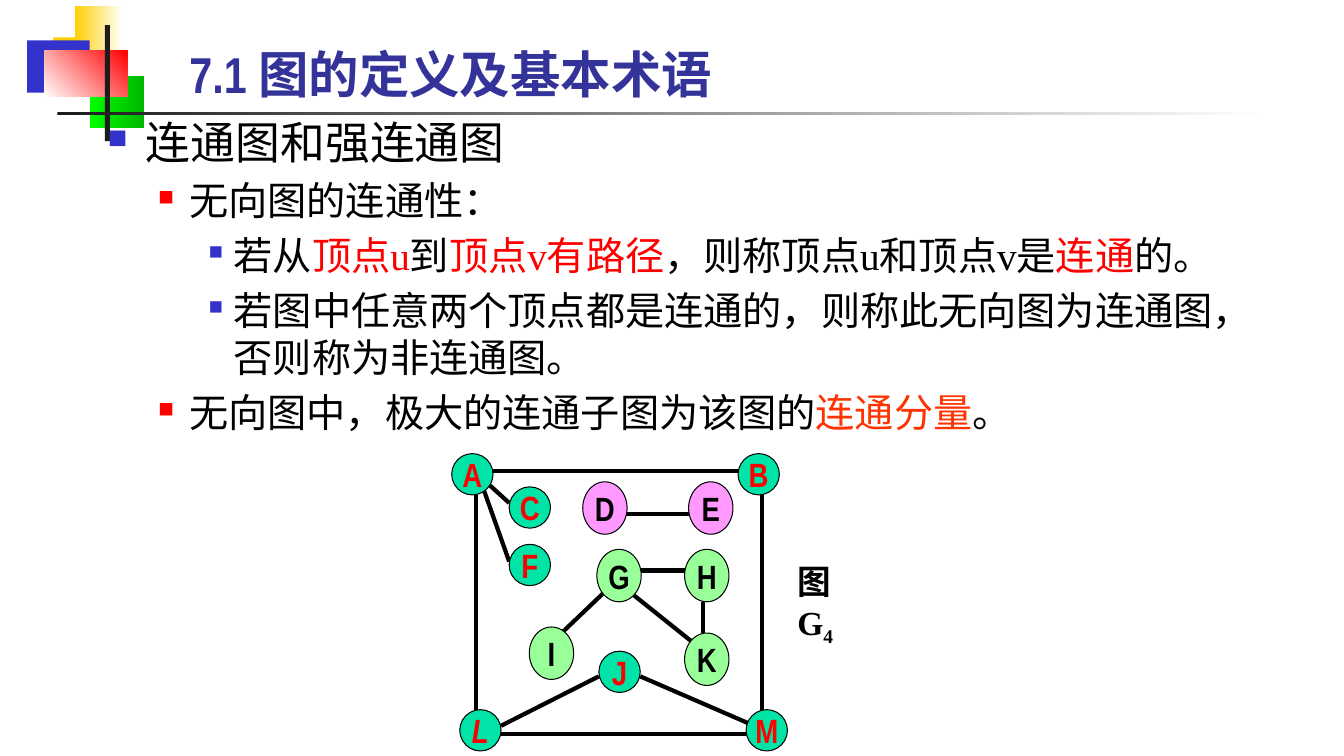
from dataclasses import dataclass
from lxml.etree import SubElement
from pptx import Presentation
from pptx.dml.color import RGBColor
from pptx.enum.shapes import MSO_CONNECTOR as Line, MSO_SHAPE as Preset
from pptx.enum.text import MSO_ANCHOR as Anchor, PP_ALIGN as Align
from pptx.oxml.ns import qn
from pptx.util import Inches, Pt


@dataclass(frozen=True)
class Theme:
    black: str = "000000"
    white: str = "FFFFFF"
    red: str = "FF0000"
    orange: str = "FF3300"
    blue: str = "3333CC"
    title_blue: str = "333399"
    yellow: str = "FFCF01"
    lime: str = "00FF00"
    green: str = "00B600"
    charcoal: str = "1C1C1C"
    teal: str = "00E4A8"
    pink: str = "FF99FF"
    pale_green: str = "99FF99"
    sans: str = "Arial Narrow"
    serif: str = "Times New Roman"
    title_size: int = 36
    topic_size: int = 32
    body_size: int = 28
    graph_size: int = 24
    edge_width: int = 3
    outline_width: float = 0.75


@dataclass(frozen=True)
class Box:
    left: float
    top: float
    width: float
    height: float

    def inner(self, x, y, width, height):
        return Box(self.left + x, self.top + y, width, height)

    def inches(self):
        return [Inches(n) for n in (self.left, self.top, self.width, self.height)]


@dataclass(frozen=True)
class Component:
    fill: str
    ink: str
    size: tuple
    vertices: dict
    edges: tuple


T = Theme()

ORNAMENT = (
    ((0.26, 0.31, 0.64, 0.52), (T.yellow,), 0),
    ((0.47, 0, 0.48, 0.52), (T.yellow, T.white), 0),
    ((0, 0.34, 0.62, 0.52), (T.blue,), 0),
    ((0.62, 0.69, 0.54, 0.52), (T.lime, T.green), 0),
    ((0.17, 0.44, 0.82, 0.46), (T.white, T.red), 45),
    ((0.77, 0.19, 0.05, 1.15), (T.charcoal,), 0),
    ((0.3, 1.05, 12, 0.03), (T.charcoal, T.white), 0),
)

LEVELS = (
    (0.38, 0.38, T.blue, 60, T.topic_size),
    (0.81, 0.31, T.red, 55, T.body_size),
    (1.25, 0.25, T.blue, 50, T.body_size),
)

POINTS = (
    (0, (("连通图和强连通图", T.black),)),
    (1, (("无向图的连通性：", T.black),)),
    (2, (("若从", T.black), ("顶点u", T.red), ("到", T.black),
         ("顶点v有路径", T.red), ("，则称顶点u和顶点v是", T.black),
         ("连通", T.red), ("的。", T.black))),
    (2, (("若图中任意两个顶点都是连通的，则称此无向图为连通图，否则称为非连通图。", T.black),)),
    (1, (("无向图中，极大的连通子图为该图的", T.black),
         ("连通分量", T.orange), ("。", T.black))),
)

COMPONENTS = (
    Component(
        T.teal, T.red, (0.41, 0.41),
        {"A": (0, 0), "B": (2.84, 0), "C": (0.57, 0.33), "F": (0.57, 0.9),
         "J": (1.46, 1.96), "L": (0.08, 2.54), "M": (2.92, 2.54)},
        ((0.41, 0.17, 2.84, 0.17), (0.49, 2.78, 2.92, 2.78),
         (0.24, 0.41, 0.24, 2.62), (3.08, 0.41, 3.08, 2.62),
         (0.34, 0.28, 0.57, 0.49), (0.29, 0.28, 0.57, 1.07),
         (1.87, 2.21, 3, 2.7), (1.46, 2.21, 0.49, 2.7)),
    ),
    Component(
        T.pink, T.black, (0.44, 0.52),
        {"D": (1.3, 0.28), "E": (2.35, 0.28)},
        ((1.73, 0.6, 2.35, 0.6),),
    ),
    Component(
        T.pale_green, T.black, (0.44, 0.52),
        {"G": (1.44, 0.95), "H": (2.31, 0.95), "K": (2.31, 1.78), "I": (0.77, 1.72)},
        ((1.88, 1.16, 2.31, 1.16), (2.49, 1.47, 2.49, 1.78),
         (1.75, 1.36, 2.4, 1.88), (1.53, 1.36, 1.09, 1.78)),
    ),
)


def rgb(colour):
    return RGBColor.from_string(colour)


def style(run, size, colour, face, bold=False):
    run.font.size = Pt(size)
    run.font.color.rgb = rgb(colour)
    run.font.name = face
    run.font.bold = bold


def paint(shape, colours, angle=0):
    shape.shadow.inherit = False
    if len(colours) == 1:
        shape.fill.solid()
        shape.fill.fore_color.rgb = rgb(colours[0])
        return
    shape.fill.gradient()
    shape.fill.gradient_angle = angle
    for stop, colour in zip(shape.fill.gradient_stops, colours):
        stop.color.rgb = rgb(colour)


def add_bullet(paragraph, colour, percent):
    props = paragraph._p.get_or_add_pPr()
    SubElement(SubElement(props, qn("a:buClr")), qn("a:srgbClr"), val=colour)
    SubElement(props, qn("a:buSzPct"), val=str(percent * 1000))
    SubElement(props, qn("a:buChar"), char="■")


def draw_ornament(slide, box):
    for place, colours, angle in ORNAMENT:
        block = slide.shapes.add_shape(Preset.RECTANGLE, *box.inner(*place).inches())
        paint(block, colours, angle)
        block.line.fill.background()


def write_title(slide, box):
    frame = slide.shapes.add_textbox(*box.inches()).text_frame
    frame.word_wrap = True
    frame.vertical_anchor = Anchor.BOTTOM
    frame.text = "7.1 图的定义及基本术语"
    style(frame.paragraphs[0].runs[0], T.title_size, T.title_blue, T.sans, True)


def write_points(slide, box):
    frame = slide.shapes.add_textbox(*box.inches()).text_frame
    frame.word_wrap = True
    for index, (level, phrases) in enumerate(POINTS):
        margin, hanging, colour, percent, size = LEVELS[level]
        point = frame.add_paragraph() if index else frame.paragraphs[0]
        point.level = level
        point.space_before = Pt(0.2 * size if index else 0)
        props = point._p.get_or_add_pPr()
        props.set("marL", str(Inches(margin)))
        props.set("indent", str(-Inches(hanging)))
        add_bullet(point, colour, percent)
        for words, ink in phrases:
            run = point.add_run()
            run.text = words
            style(run, size, ink, T.serif)


def draw_edge(group, box, ends):
    x1, y1, x2, y2 = ends
    edge = group.shapes.add_connector(
        Line.STRAIGHT, Inches(box.left + x1), Inches(box.top + y1),
        Inches(box.left + x2), Inches(box.top + y2))
    edge.line.color.rgb = rgb(T.black)
    edge.line.width = Pt(T.edge_width)
    SubElement(edge._element.spPr, qn("a:effectLst"))


def draw_vertex(group, box, letter, component):
    vertex = group.shapes.add_shape(Preset.OVAL, *box.inches())
    paint(vertex, (component.fill,))
    vertex.line.color.rgb = rgb(T.black)
    vertex.line.width = Pt(T.outline_width)
    frame = vertex.text_frame
    frame.word_wrap = False
    frame.vertical_anchor = Anchor.MIDDLE
    frame.text = letter
    frame.paragraphs[0].alignment = Align.CENTER
    run = frame.paragraphs[0].runs[0]
    style(run, T.graph_size, component.ink, T.sans, True)
    run.font.italic = letter == "L"


def draw_graph(slide, box):
    for component in COMPONENTS:
        group = slide.shapes.add_group_shape()
        for ends in component.edges:
            draw_edge(group, box, ends)
        for letter, corner in component.vertices.items():
            draw_vertex(group, box.inner(*corner, *component.size), letter, component)
    caption = slide.shapes.add_textbox(*box.inner(3.33, 1.02, 1, 0.5).inches()).text_frame
    caption.word_wrap = True
    caption.margin_right = Inches(0.4)
    caption.text = "图 G"
    subscript = caption.paragraphs[0].add_run()
    subscript.text = "4"
    for run in caption.paragraphs[0].runs:
        style(run, T.graph_size, T.black, T.serif, True)
    subscript.font._element.set("baseline", "-25000")


def main():
    deck = Presentation()
    deck.slide_width, deck.slide_height = Inches(13.33), Inches(7.5)
    slide = deck.slides.add_slide(deck.slide_layouts[6])
    draw_ornament(slide, Box(0.27, 0.06, 12.3, 1.34))
    write_points(slide, Box(0.97, 1.09, 11.74, 3.79))
    write_title(slide, Box(1.78, 0.25, 11.36, 0.83))
    draw_graph(slide, Box(4.48, 4.5, 4.33, 2.95))
    deck.save("out.pptx")


if __name__ == "__main__":
    main()
